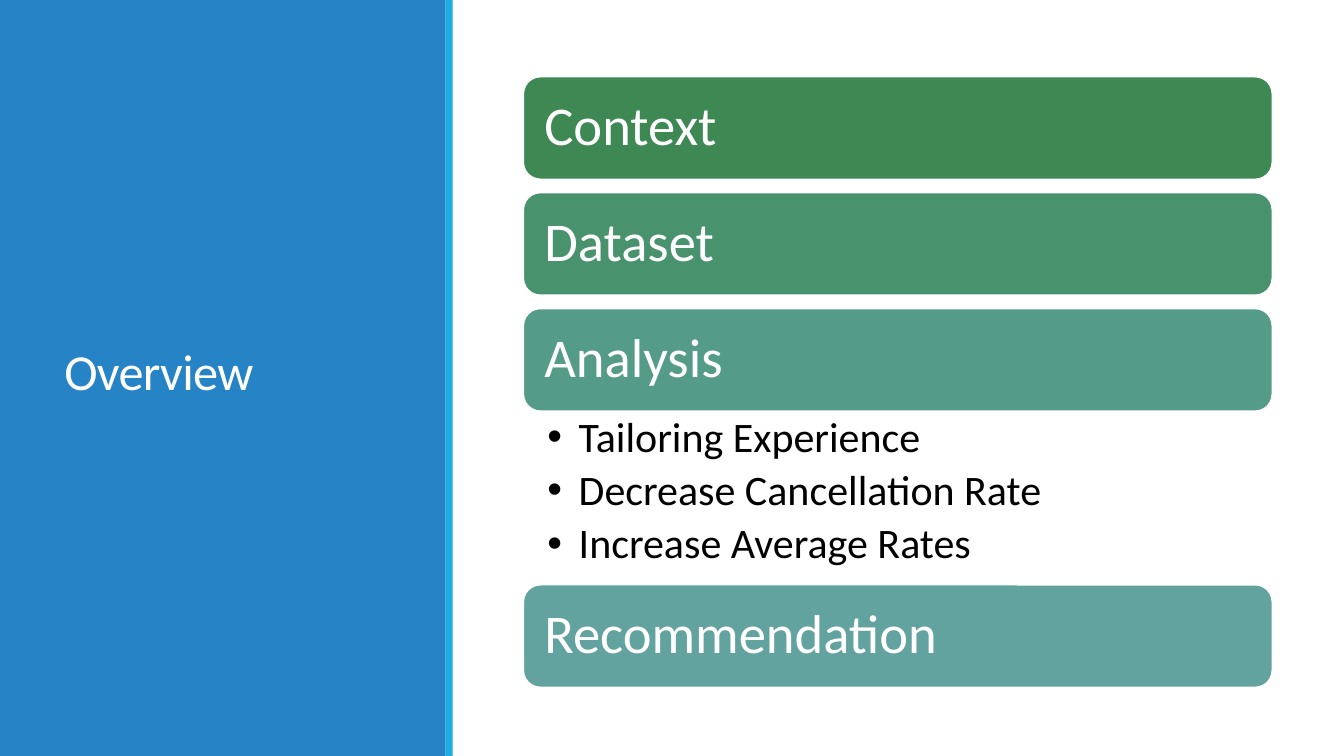
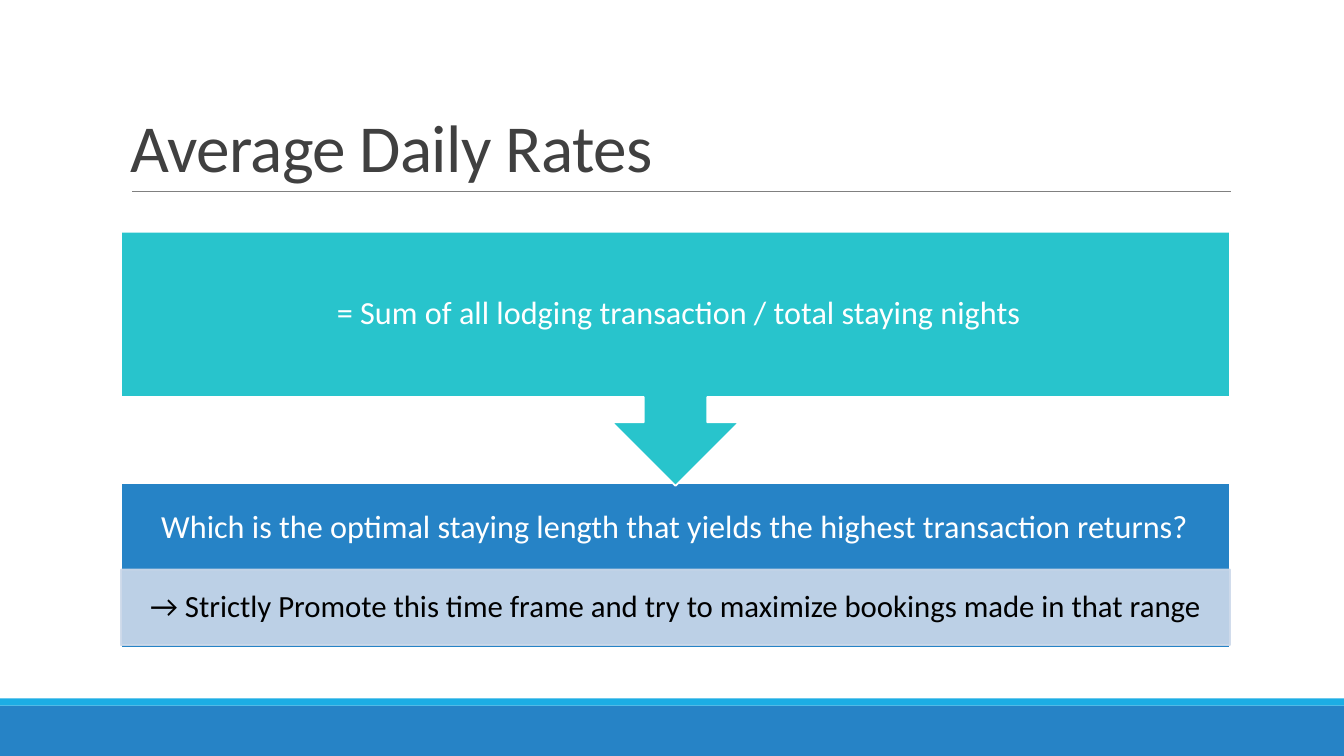
from pptx import Presentation
from pptx.dml.color import RGBColor
from pptx.enum.shapes import MSO_CONNECTOR as Connector, MSO_SHAPE as Shape
from pptx.enum.text import MSO_ANCHOR as Anchor, PP_ALIGN as Align
from pptx.oxml.ns import qn
from pptx.util import Inches, Pt
from lxml.etree import SubElement

WHITE = RGBColor(0xFF, 0xFF, 0xFF)
BLACK = RGBColor(0x00, 0x00, 0x00)
CHARCOAL = RGBColor(0x40, 0x40, 0x40)
GRAY = RGBColor(0x80, 0x80, 0x80)
BLUE = RGBColor(0x26, 0x83, 0xC6)
SKY = RGBColor(0x1C, 0xAD, 0xE4)
PALE = RGBColor(0xCD, 0xD9, 0xEA)
TURQUOISE = RGBColor(0x28, 0xC4, 0xCC)
GREENS = [RGBColor(0x3E, 0x88, 0x53), RGBColor(0x49, 0x92, 0x6E),
          RGBColor(0x54, 0x9C, 0x88), RGBColor(0x62, 0xA3, 0x9F)]

FONT = "Calibri"
WIDTH, HEIGHT = 13.33, 7.5
STRIPE = 0.07
TOPICS = [
    ("Context", []),
    ("Dataset", []),
    ("Analysis", ["Tailoring Experience", "Decrease Cancellation Rate",
                  "Increase Average Rates"]),
    ("Recommendation", []),
]


def write(shape, *lines, size, color, align=Align.LEFT, anchor=Anchor.MIDDLE,
          insets=(0.1, 0.05, 0.1, 0.05), leading=0.9, after=0, tracking=0, indent=0):
    """Fill a shape with paragraphs that share one format."""
    frame = shape.text_frame
    frame.word_wrap = True
    frame.vertical_anchor = anchor
    (frame.margin_left, frame.margin_top,
     frame.margin_right, frame.margin_bottom) = map(Inches, insets)
    for number, line in enumerate(lines):
        para = frame.add_paragraph() if number else frame.paragraphs[0]
        para.alignment = align
        para.line_spacing = leading
        para.space_after = Pt(after)
        if indent:
            properties = para._p.get_or_add_pPr()
            properties.set("marL", str(Inches(indent)))
            properties.set("indent", str(-Inches(indent)))
            SubElement(properties, qn("a:buFont"), typeface="Arial")
            SubElement(properties, qn("a:buChar"), char="•")
        span = para.add_run()
        span.text = line
        span.font.name = FONT
        span.font.size = Pt(size)
        span.font.color.rgb = color
        if tracking:
            span._r.get_or_add_rPr().set("spc", str(int(tracking * 100)))


def add_block(slide, kind, left, top, width, height, fill, outline=None, alpha=100):
    """Draw a flat filled shape with an optional outline."""
    shape = slide.shapes.add_shape(kind, *map(Inches, (left, top, width, height)))
    shape.shadow.inherit = False
    shape.fill.solid()
    shape.fill.fore_color.rgb = fill
    if outline is None:
        shape.line.fill.background()
    else:
        shape.line.color.rgb = outline
        shape.line.width = Pt(1.25)
    if alpha < 100:
        for color in shape._element.spPr.iter(qn("a:srgbClr")):
            SubElement(color, qn("a:alpha"), val=str(alpha * 1000))
    return shape


def add_text(slide, left, top, width, height, *lines, **style):
    """Place a text box."""
    box = slide.shapes.add_textbox(*map(Inches, (left, top, width, height)))
    write(box, *lines, **style)


def add_title(slide, left, top, width, height, text, **style):
    """Place a slide title in the shared title style."""
    add_text(slide, left, top, width, height, text, leading=0.85, tracking=-0.5, **style)


def add_rule(slide, left, right, top):
    """Draw the thin line below a title."""
    rule = slide.shapes.add_connector(
        Connector.STRAIGHT, *map(Inches, (left, top, right, top)))
    rule.line.color.rgb = GRAY
    rule.line.width = Pt(0.5)
    SubElement(rule._element.spPr, qn("a:effectLst"))


def build_overview(slide):
    """Build the side panel and the list of topics."""
    panel = 4.42
    add_block(slide, Shape.RECTANGLE, 0, 0, panel, HEIGHT, BLUE)
    add_block(slide, Shape.RECTANGLE, panel, 0, STRIPE, HEIGHT, SKY)
    add_title(slide, 0.54, 0.57, 3.37, 6.31, "Overview", size=36, color=WHITE)

    left, top, width, height, gap, list_height = 5.19, 0.76, 7.43, 1.02, 0.13, 1.72
    for (topic, details), fill in zip(TOPICS, GREENS):
        bar = add_block(slide, Shape.ROUNDED_RECTANGLE, left, top, width, height, fill, WHITE)
        write(bar, topic, size=39, color=WHITE, insets=(0.16,) * 4)
        top += height
        if details:
            add_text(slide, left, top, width, list_height, *details, size=30, color=BLACK,
                     anchor=Anchor.TOP, insets=(0.24, 0.05, 0.3, 0.05), after=5.5,
                     indent=0.31)
            top += list_height
        else:
            top += gap


def build_rates(slide):
    """Build the definition, the question and the answer."""
    band = 7
    add_block(slide, Shape.RECTANGLE, 0, band, WIDTH, HEIGHT - band, BLUE)
    add_block(slide, Shape.RECTANGLE, 0, band - STRIPE, WIDTH, STRIPE, SKY)
    add_rule(slide, 1.31, 12.21, 1.9)

    left, width, strip = 1.2, 11, 0.75
    add_title(slide, left, 0.31, width, 1.59, "Average Daily Rates",
              size=48, color=CHARCOAL, anchor=Anchor.BOTTOM)
    question = add_block(slide, Shape.RECTANGLE, left, 4.79, width, 1.64, BLUE, WHITE)
    write(question,
          "Which is the optimal staying length that yields the highest transaction returns?",
          size=23, color=WHITE, align=Align.CENTER, insets=(0.18, 0.18, 0.18, 0.18 + strip))
    answer = add_block(slide, Shape.RECTANGLE, left, 5.65, width, strip, PALE, PALE, alpha=90)
    write(answer,
          "→ Strictly Promote this time frame and try to maximize bookings made in that range",
          size=22, color=BLACK, align=Align.CENTER, insets=(0.17, 0.03, 0.17, 0.03))
    definition = add_block(slide, Shape.DOWN_ARROW_CALLOUT, left, 2.3, width, 2.52,
                           TURQUOISE, WHITE)
    write(definition, " = Sum of all lodging transaction / total staying nights",
          size=23, color=WHITE, align=Align.CENTER, insets=(0.18,) * 4)


def main():
    """Build and save the deck."""
    deck = Presentation()
    deck.slide_width, deck.slide_height = Inches(WIDTH), Inches(HEIGHT)
    for build in (build_overview, build_rates):
        build(deck.slides.add_slide(deck.slide_layouts[6]))
    deck.save("out.pptx")


if __name__ == "__main__":
    main()
